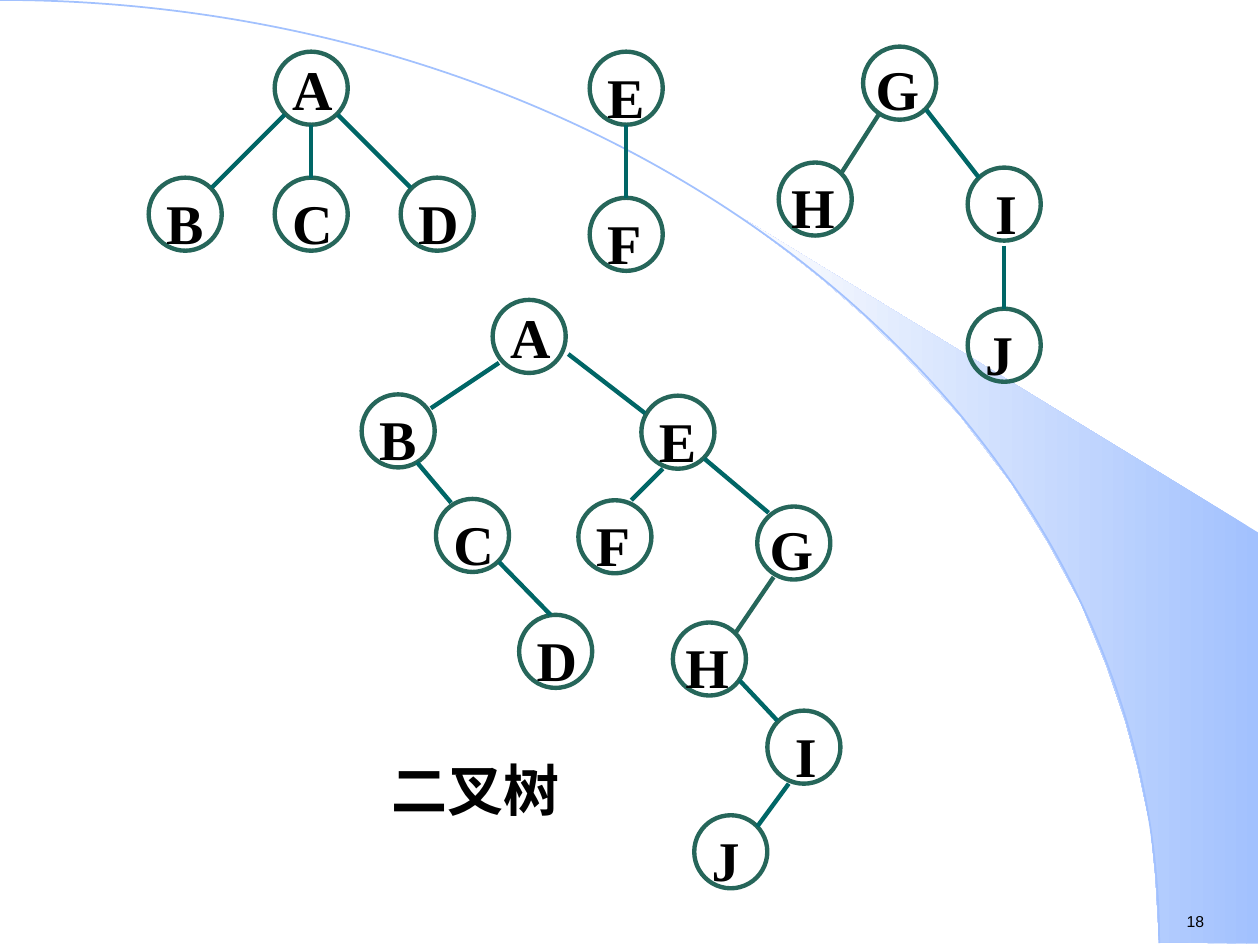
"""Build the slide that turns a forest of three trees into one binary tree."""
from lxml import etree
from pptx import Presentation
from pptx import util as u
from pptx.dml.color import RGBColor
from pptx.enum import shapes, text
from pptx.oxml import ns

PX = 9144
BLACK = RGBColor(0x00, 0x00, 0x00)
RING = RGBColor(0x26, 0x66, 0x5A)
TEAL = RGBColor(0x00, 0x66, 0x66)
SKY = RGBColor(0xA2, 0xC1, 0xFE)
PALE = RGBColor(0xFE, 0xFE, 0xFE)

DIAMETER = 58
UPRIGHT = {"A": -9, "G": -5}
LETTER_SHIFT = {"G": 0, "H": 0, "I": 12}

WEDGE = [(920, 748), (999, 749), (999, 423), (589, 173), (624, 199), (653, 222),
         (685, 250), (716, 280), (762, 330), (803, 384), (832, 431), (858, 479),
         (878, 528), (893, 572), (903, 609), (913, 656), (917, 696)]

FOREST_NODES = [("A", 218, 41), ("C", 218, 141), ("B", 118, 141), ("D", 318, 141),
                ("F", 468, 157), ("E", 468, 41),
                ("G", 685, 37), ("J", 768, 245), ("H", 618, 129), ("I", 768, 133)]
FOREST_EDGES = [(247, 99, 247, 141, TEAL), (226, 91, 168, 149, TEAL),
                (268, 91, 326, 149, TEAL), (497, 99, 497, 157, TEAL),
                (698, 90, 668, 137, RING), (735, 87, 777, 141, TEAL),
                (797, 195, 797, 245, TEAL)]

BINARY_NODES = [("G", 601, 402), ("J", 551, 647), ("H", 534, 494), ("I", 609, 564),
                ("F", 459, 397), ("E", 509, 314), ("A", 391, 238), ("C", 346, 396),
                ("B", 287, 313), ("D", 412, 488)]
BINARY_EDGES = [(614, 458, 584, 502, RING), (559, 364, 610, 407, TEAL),
                (587, 540, 617, 572, TEAL), (626, 622, 601, 656, TEAL),
                (526, 372, 501, 397, TEAL), (451, 281, 512, 328, TEAL),
                (396, 288, 342, 324, TEAL), (396, 446, 437, 488, TEAL),
                (331, 367, 358, 399, TEAL)]


def px(*lengths):
    """Turn pixel lengths into EMU."""
    return [length * PX for length in lengths]


def add_backdrop(slide):
    """Draw the shaded wedge and the large arc behind the trees."""
    builder = slide.shapes.build_freeform(*WEDGE[0], scale=PX)
    builder.add_line_segments(WEDGE[1:])
    wedge = builder.convert_to_shape()
    wedge.shadow.inherit = False
    wedge.line.fill.background()
    wedge.fill.gradient()
    wedge.fill.gradient_angle = 180
    for stop, position, colour in zip(wedge.fill.gradient_stops, (0, 1), (SKY, PALE)):
        stop.position = position
        stop.color.rgb = colour

    arc = slide.shapes.add_shape(shapes.MSO_SHAPE.ARC, *px(-920, 0, 1840, 1497))
    arc.shadow.inherit = False
    arc.fill.background()
    arc.line.color.rgb = SKY
    arc.line.width = u.Pt(1)


def add_label(slide, wording, box, size=32, font="Times New Roman",
              bold=True, spacing=None, inset_top=11):
    """Add one line of text in a box of fixed size."""
    label = slide.shapes.add_textbox(*px(*box))
    frame = label.text_frame
    frame.word_wrap = True
    frame.auto_size = text.MSO_AUTO_SIZE.NONE
    frame.margin_top = inset_top * PX
    frame.margin_bottom = 0
    paragraph = frame.paragraphs[0]
    if spacing:
        paragraph.line_spacing = spacing
    run = paragraph.add_run()
    run.text = wording
    run.font.size = u.Pt(size)
    run.font.name = font
    run.font.bold = bold
    run.font.color.rgb = BLACK


def add_node(slide, letter, left, top):
    """Draw a ring with its letter and return the ring."""
    ring = slide.shapes.add_shape(shapes.MSO_SHAPE.OVAL,
                                  *px(left, top, DIAMETER, DIAMETER))
    ring.shadow.inherit = False
    ring.fill.background()
    ring.line.color.rgb = RING
    ring.line.width = u.Pt(2.5)
    single = letter in UPRIGHT
    box = (left + LETTER_SHIFT.get(letter, 4), top + UPRIGHT.get(letter, -8),
           DIAMETER, 64 if single else 69)
    add_label(slide, letter, box, spacing=None if single else 1.1)
    return ring


def add_edge(slide, ends, colour, rings_by_top):
    """Draw a branch, joined to a ring when it ends at the ring's top."""
    edge = slide.shapes.add_connector(shapes.MSO_CONNECTOR.STRAIGHT, *px(*ends))
    edge.line.color.rgb = colour
    edge.line.width = u.Pt(2.5)
    etree.SubElement(edge._element.spPr, ns.qn("a:effectLst"))
    child = rings_by_top.get(tuple(ends[2:]))
    if child is not None:
        edge.end_connect(child, 0)


def add_trees(slide, nodes, edges):
    """Draw a group of nodes and the branches between them."""
    rings_by_top = {}
    for letter, left, top in nodes:
        ring = add_node(slide, letter, left, top)
        rings_by_top[left + DIAMETER // 2, top] = ring
    for *ends, colour in edges:
        add_edge(slide, ends, colour, rings_by_top)


def main():
    """Build and save the slide."""
    deck = Presentation()
    deck.slide_width, deck.slide_height = px(1000, 750)
    slide = deck.slides.add_slide(deck.slide_layouts[6])
    add_backdrop(slide)
    add_label(slide, "18", (932, 719, 77, 25), size=9, font="Arial",
              bold=False, inset_top=5)
    add_trees(slide, FOREST_NODES, FOREST_EDGES)
    add_label(slide, "二叉树", (301, 589, 183, 64))
    add_trees(slide, BINARY_NODES, BINARY_EDGES)
    deck.save("out.pptx")


if __name__ == "__main__":
    main()
